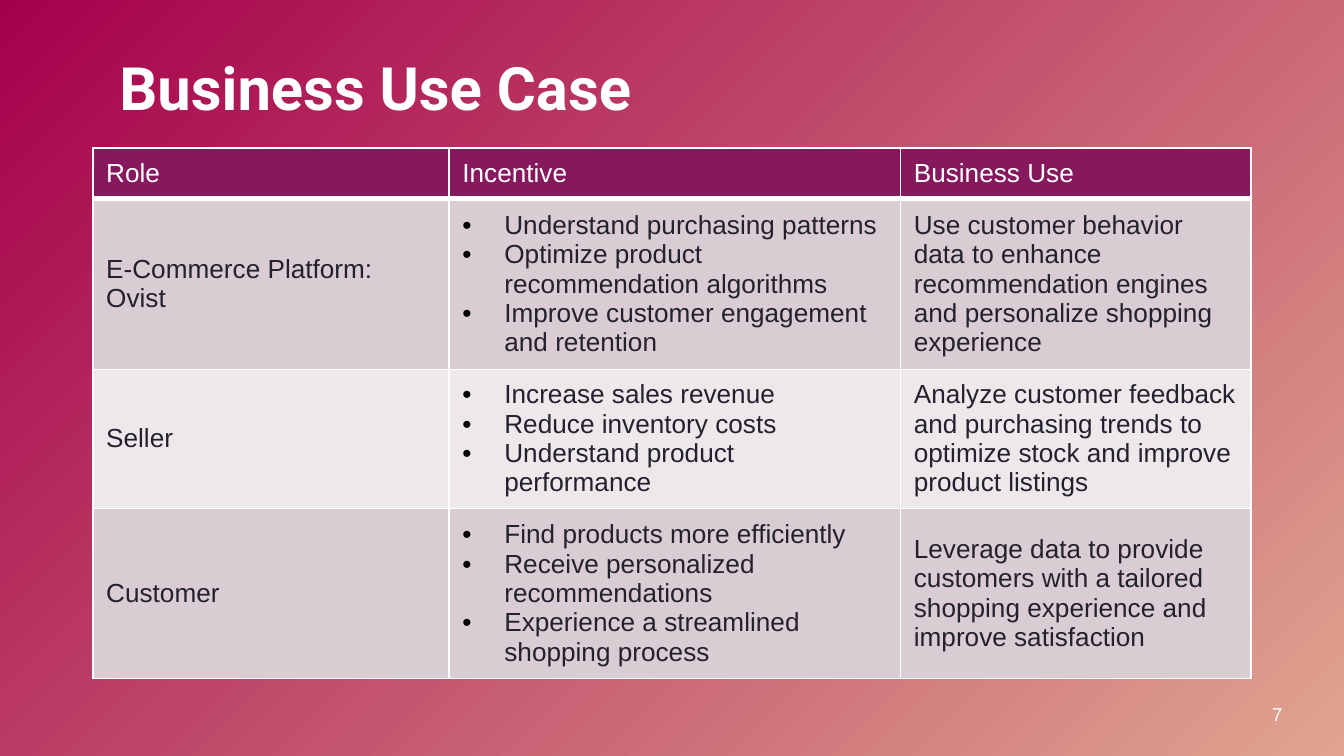
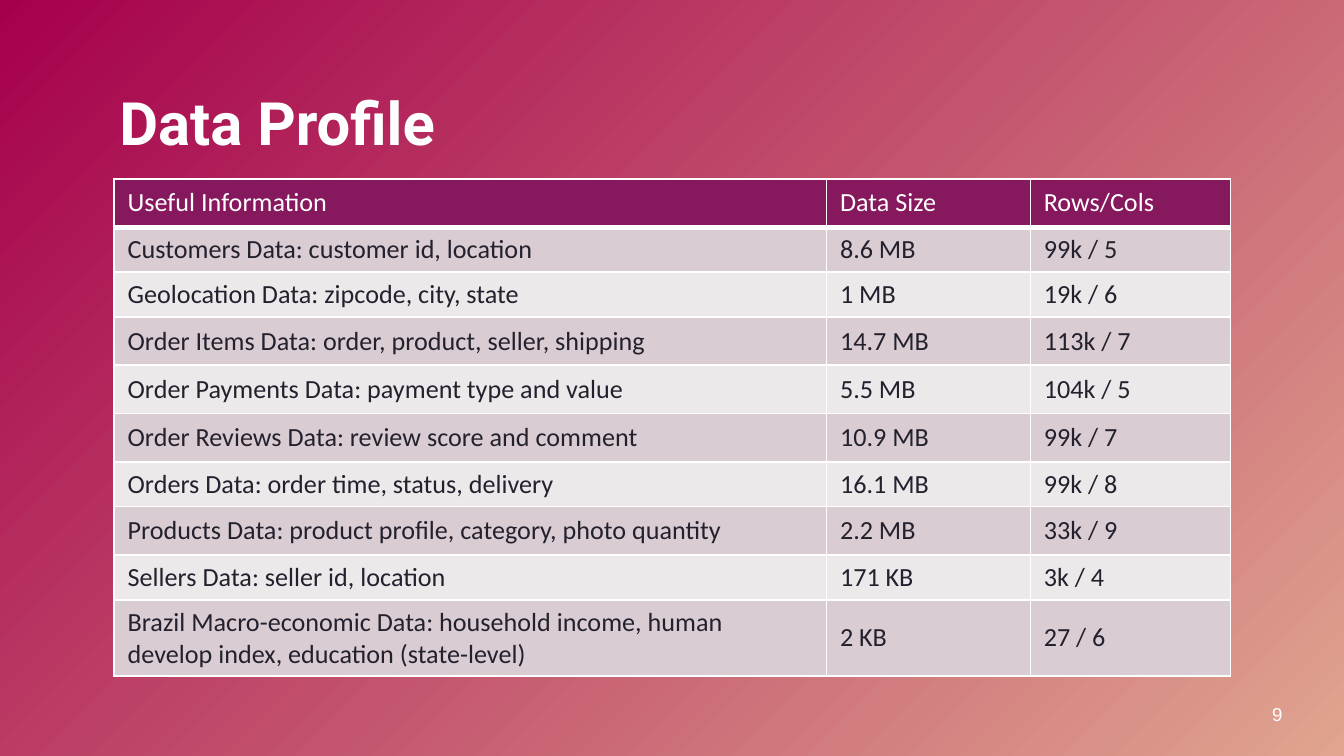
from dataclasses import dataclass

from lxml.etree import SubElement
from pptx import Presentation
from pptx.dml.color import RGBColor
from pptx.enum.text import MSO_ANCHOR, MSO_AUTO_SIZE, PP_ALIGN
from pptx.oxml.ns import qn
from pptx.util import Pt


@dataclass(frozen=True)
class Theme:
    start: str = "A5004C"
    end: str = "E0A48F"
    white: str = "FFFFFF"
    ink: str = "23212E"
    bullet: str = "000000"
    header: str = "86185E"
    bands: tuple[str, str] = ("D9CCD2", "EDE8EA")
    title_font: str = "Roboto"
    body_font: str = "Arial"
    title_size: int = 32
    table_size: int = 14
    number_size: int = 10
    bullet_indent: float = 22.5
    thin: float = 1
    thick: float = 3


@dataclass(frozen=True)
class TableSlide:
    title: str
    title_top: float
    number: str
    left: float
    top: float
    height: float
    font: str
    cols: tuple[float, ...]
    row_heights: tuple[float, ...]
    rows: tuple[tuple, ...]


THEME = Theme()

SLIDES = (
    TableSlide(
        "Business Use Case", 23.8, "7", 49.7, 79.2, 284.4, "Arial",
        (190.8, 241.9, 187.9),
        (27.4, 64.1, 64.1, 69.1),
        (
            ("Role", "Incentive", "Business Use"),
            (
                "E-Commerce Platform: Ovist",
                ["Understand purchasing patterns",
                 "Optimize product recommendation algorithms",
                 "Improve customer engagement and retention"],
                "Use customer behavior data to enhance recommendation engines "
                "and personalize shopping experience",
            ),
            (
                "Seller",
                ["Increase sales revenue",
                 "Reduce inventory costs",
                 "Understand product performance"],
                "Analyze customer feedback and purchasing trends to optimize "
                "stock and improve product listings",
            ),
            (
                "Customer",
                ["Find products more efficiently",
                 "Receive personalized recommendations",
                 "Experience a streamlined shopping process"],
                "Leverage data to provide customers with a tailored shopping "
                "experience and improve satisfaction",
            ),
        ),
    ),
    TableSlide(
        "Data Profile", 42.5, "9", 61.2, 95.8, 267.1, "Calibri",
        (381.6, 109.2, 107.2),
        (25.9, 15.1, 15.1, 25.9, 25.9, 25.9, 15.1, 25.9, 15.1, 36.7),
        (
            ("Useful Information", "Data Size", "Rows/Cols"),
            ("Customers Data: customer id, location", "8.6 MB", "99k / 5"),
            ("Geolocation Data: zipcode, city, state", "1 MB", "19k / 6"),
            ("Order Items Data: order, product, seller, shipping", "14.7 MB", "113k / 7"),
            ("Order Payments Data: payment type and value", "5.5 MB", "104k / 5"),
            ("Order Reviews Data: review score and comment", "10.9 MB", "99k / 7"),
            ("Orders Data: order time, status, delivery", "16.1 MB", "99k / 8"),
            ("Products Data: product profile, category, photo quantity", "2.2 MB", "33k / 9"),
            ("Sellers Data: seller id, location", "171 KB", "3k / 4"),
            ("Brazil Macro-economic Data: household income, human develop index, "
             "education (state-level)", "2 KB", "27 / 6"),
        ),
    ),
)


def add_bullet(p) -> None:
    pPr = p._p.get_or_add_pPr()
    indent = Pt(THEME.bullet_indent)
    pPr.set("marL", str(indent))
    pPr.set("indent", str(-indent))
    color = SubElement(pPr, qn("a:buClr"))
    SubElement(color, qn("a:srgbClr"), val=THEME.bullet)
    SubElement(pPr, qn("a:buFont"), typeface="Arial")
    SubElement(pPr, qn("a:buChar"), char="•")


def write(tf, text: str | list[str], *, font: str, size: float, color: str,
          bold: bool = False, align: PP_ALIGN = PP_ALIGN.LEFT) -> None:
    bulleted = isinstance(text, list)
    for i, line in enumerate(text if bulleted else [text]):
        p = tf.add_paragraph() if i else tf.paragraphs[0]
        if bulleted:
            add_bullet(p)
        p.alignment = align
        r = p.add_run()
        r.text = line
        r.font.name = font
        r.font.size = Pt(size)
        r.font.bold = bold
        r.font.color.rgb = RGBColor.from_string(color)


def add_borders(cell, bottom: float) -> None:
    tcPr = cell._tc.get_or_add_tcPr()
    widths = {"lnL": THEME.thin, "lnR": THEME.thin, "lnT": THEME.thin, "lnB": bottom}
    for side, width in widths.items():
        ln = SubElement(tcPr, qn(f"a:{side}"), w=str(Pt(width)))
        fill = SubElement(ln, qn("a:solidFill"))
        SubElement(fill, qn("a:srgbClr"), val=THEME.white)


def paint_background(s) -> None:
    fill = s.background.fill
    fill.gradient()
    fill.gradient_angle = 315
    for stop, color in zip(fill.gradient_stops, (THEME.start, THEME.end)):
        stop.color.rgb = RGBColor.from_string(color)


def add_title(s, text: str, top: float) -> None:
    tf = s.shapes.add_textbox(Pt(56.9), Pt(top), Pt(607), Pt(45.4)).text_frame
    tf.word_wrap = True
    tf.vertical_anchor = MSO_ANCHOR.MIDDLE
    tf.margin_left = tf.margin_right = tf.margin_top = tf.margin_bottom = Pt(7.2)
    write(tf, text, font=THEME.title_font, size=THEME.title_size,
          color=THEME.white, bold=True)


def add_number(s, text: str) -> None:
    tf = s.shapes.add_textbox(Pt(632.9), Pt(373), Pt(61.2), Pt(19.4)).text_frame
    tf.word_wrap = True
    tf.auto_size = MSO_AUTO_SIZE.SHAPE_TO_FIT_TEXT
    write(tf, text, font=THEME.body_font, size=THEME.number_size,
          color=THEME.white, align=PP_ALIGN.RIGHT)


def add_grid(s, data: TableSlide) -> None:
    frame = s.shapes.add_table(len(data.rows), len(data.cols), Pt(data.left),
                               Pt(data.top), Pt(sum(data.cols)), Pt(data.height))
    table = frame.table
    for column, width in zip(table.columns, data.cols):
        column.width = Pt(width)
    for row, height in zip(table.rows, data.row_heights):
        row.height = Pt(height)
    frame.height = Pt(data.height)
    for i, texts in enumerate(data.rows):
        header = i == 0
        band = THEME.header if header else THEME.bands[(i - 1) % 2]
        for j, text in enumerate(texts):
            cell = table.cell(i, j)
            add_borders(cell, THEME.thick if header else THEME.thin)
            cell.fill.solid()
            cell.fill.fore_color.rgb = RGBColor.from_string(band)
            cell.vertical_anchor = MSO_ANCHOR.MIDDLE
            write(cell.text_frame, text, font=data.font, size=THEME.table_size,
                  color=THEME.white if header else THEME.ink)


def main() -> None:
    prs = Presentation()
    prs.slide_width, prs.slide_height = Pt(720), Pt(405)
    for data in SLIDES:
        s = prs.slides.add_slide(prs.slide_layouts[6])
        paint_background(s)
        add_title(s, data.title, data.title_top)
        add_grid(s, data)
        add_number(s, data.number)
    prs.save("out.pptx")


if __name__ == "__main__":
    main()
